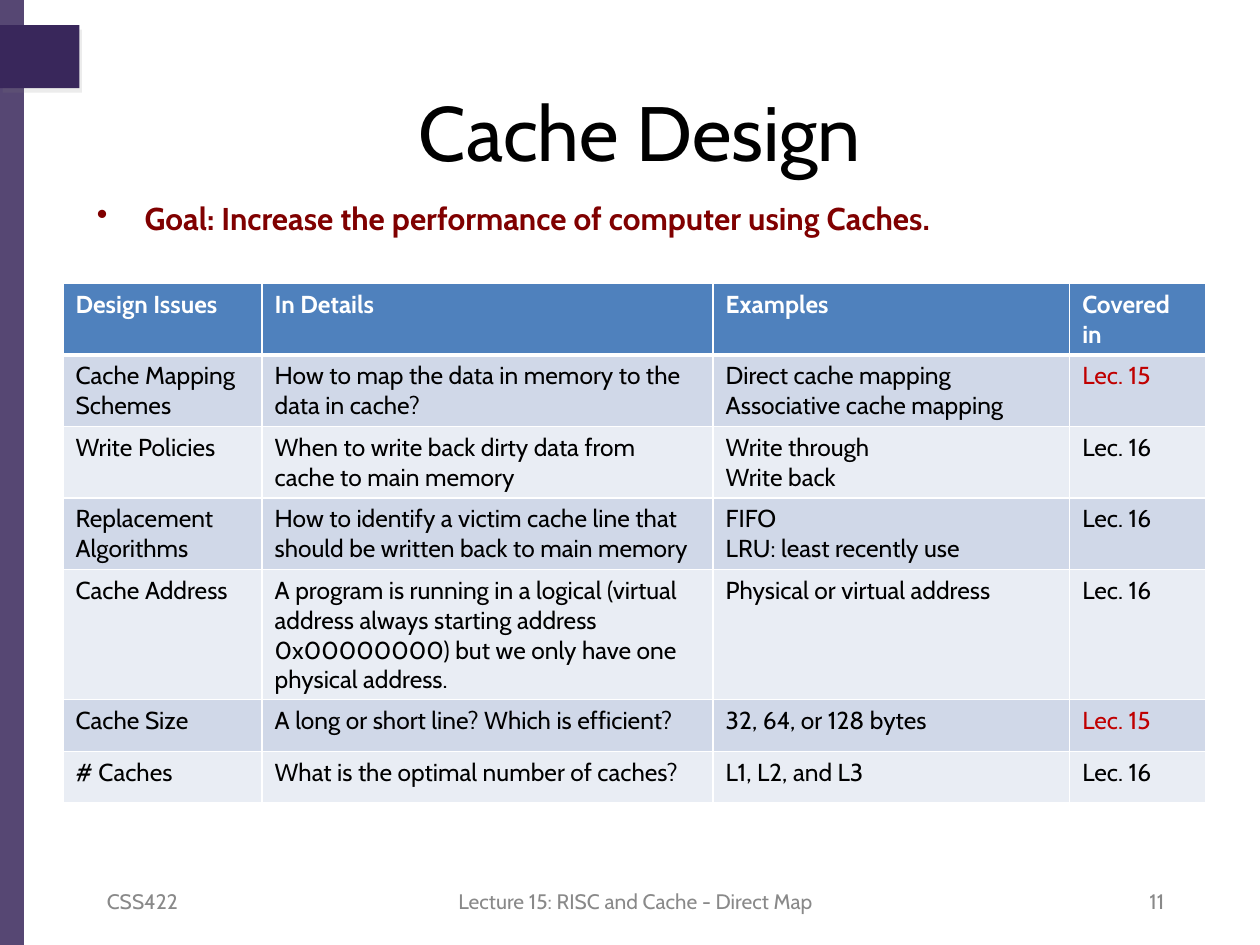
from lxml.etree import SubElement
from pptx import Presentation
from pptx.dml.color import RGBColor
from pptx.enum.shapes import MSO_SHAPE
from pptx.enum.text import MSO_ANCHOR, PP_ALIGN
from pptx.oxml.ns import qn
from pptx.util import Inches, Pt

FONT = "Cabin"
PURPLE, BLUE, WHITE, BLACK = "39275B", "4F81BD", "FFFFFF", "000000"
MAROON, RED, GREY = "800000", "C00000", "898989"
BANDS = ["D0D8E8", "E9EDF4"]

COLS = [1.58, 3.58, 2.83, 1.08]
ROW = 0.41
ROWS = [
    ["Design Issues", "In Details", "Examples", "Covered in"],
    ["Cache Mapping Schemes",
     "How to map the data in memory to the data in cache?",
     "Direct cache mapping\nAssociative cache mapping", "Lec. 15"],
    ["Write Policies",
     "When to write back dirty data from cache to main memory",
     "Write through\nWrite back", "Lec. 16"],
    ["Replacement Algorithms",
     "How to identify a victim cache line that should be written back to main memory",
     "FIFO\nLRU: least recently use", "Lec. 16"],
    ["Cache Address",
     "A program is running in a logical (virtual address always starting address "
     "0x00000000) but we only have one physical address.",
     "Physical or virtual address", "Lec. 16"],
    ["Cache Size", "A long or short line? Which is efficient?",
     "32, 64, or 128 bytes", "Lec. 15"],
    ["# Caches", "What is the optimal number of caches?",
     "L1, L2, and L3", "Lec. 16"],
]


def color(code):
    return RGBColor.from_string(code)


def tint(node, code, alpha=None):
    """Add a colour, with an optional opacity in percent, to an XML node."""
    clr = SubElement(node, qn("a:srgbClr"), val=code)
    if alpha:
        SubElement(clr, qn("a:alpha"), val=str(alpha * 1000))


class Page:
    """Holds the text style and the slide being built."""

    def __init__(self, slide, font):
        self.slide = slide
        self.font = font

    def style(self, frame, size, code, bold=False, align=PP_ALIGN.LEFT):
        for para in frame.paragraphs:
            para.alignment = align
            font = para.font
            font.name, font.size, font.bold = self.font, Pt(size), bold
            font.color.rgb = color(code)

    def bar(self, x, y, w, h, code, alpha=None):
        box = self.slide.shapes.add_shape(
            MSO_SHAPE.RECTANGLE, Inches(x), Inches(y), Inches(w), Inches(h))
        box.shadow.inherit = False
        box.line.fill.background()
        box.fill.solid()
        box.fill.fore_color.rgb = color(code)
        if alpha:
            clr = box.fill._xPr.find(".//" + qn("a:srgbClr"))
            SubElement(clr, qn("a:alpha"), val=str(alpha * 1000))
        return box

    def shade(self, box, code, alpha, dist, angle):
        """Give a shape a hard drop shadow."""
        effects = box._element.spPr.find(qn("a:effectLst"))
        shadow = SubElement(effects, qn("a:outerShdw"), blurRad="0",
                            dist=str(Pt(dist)), dir=str(angle * 60000))
        tint(shadow, code, alpha)

    def text(self, words, x, y, w, h, size, code, bold=False,
             align=PP_ALIGN.LEFT, anchor=MSO_ANCHOR.MIDDLE):
        box = self.slide.shapes.add_textbox(
            Inches(x), Inches(y), Inches(w), Inches(h))
        frame = box.text_frame
        frame.word_wrap = True
        frame.vertical_anchor = anchor
        frame.text = words
        self.style(frame, size, code, bold, align)
        return frame

    def bullet(self, para, indent):
        para.line_spacing = 1.1
        props = para._p.get_or_add_pPr()
        props.set("marL", str(Inches(indent)))
        props.set("indent", str(-Inches(indent)))
        before = SubElement(props, qn("a:spcBef"))
        SubElement(before, qn("a:spcPct"), val="20000")
        mark = SubElement(props, qn("a:buChar"), char="•")
        props.find(qn("a:lnSpc")).addnext(before)
        before.addnext(mark)

    def cell(self, cell, words, fill, code, head):
        cell.text = words
        self.style(cell.text_frame, 14, code, head)
        props = cell._tc.get_or_add_tcPr()
        for side in "LRTB":
            width = 3 if head and side == "B" else 1
            line = SubElement(props, qn("a:ln" + side), w=str(Pt(width)))
            tint(SubElement(line, qn("a:solidFill")), WHITE)
        cell.fill.solid()
        cell.fill.fore_color.rgb = color(fill)

    def table(self, rows, cols, x, y, high):
        grid = self.slide.shapes.add_table(
            len(rows), len(cols), Inches(x), Inches(y),
            Inches(sum(cols)), Inches(high * len(rows))).table
        for col, wide in zip(grid.columns, cols):
            col.width = Inches(wide)
        for r, row in enumerate(rows):
            head = r == 0
            fill = BLUE if head else BANDS[(r - 1) % 2]
            for c, words in enumerate(row):
                code = WHITE if head else RED if words == "Lec. 15" else BLACK
                self.cell(grid.cell(r, c), words, fill, code, head)


def main():
    deck = Presentation()
    deck.slide_width, deck.slide_height = Inches(10), Inches(7.5)
    page = Page(deck.slides.add_slide(deck.slide_layouts[6]), FONT)

    page.bar(0, 0, 0.19, 7.5, PURPLE, alpha=85)
    tab = page.bar(0, 0.2, 0.63, 0.5, PURPLE)
    page.shade(tab, "808080", 15, dist=3, angle=60)

    page.text("Cache Design", 0.58, 0.58, 9, 0.92, 44, BLACK,
              align=PP_ALIGN.CENTER)
    goal = page.text("Goal: Increase the performance of computer using Caches.",
                     0.67, 1.5, 8.83, 0.42, 18, MAROON, bold=True,
                     anchor=MSO_ANCHOR.TOP)
    page.bullet(goal.paragraphs[0], 0.38)

    page.table(ROWS, COLS, 0.5, 2.25, ROW)

    for words, x, w, align in [
        ("CSS422", 0.75, 2.33, PP_ALIGN.LEFT),
        ("Lecture 15: RISC and Cache - Direct Map", 3.46, 3.17, PP_ALIGN.CENTER),
        ("11", 7.01, 2.33, PP_ALIGN.RIGHT),
    ]:
        page.text(words, x, 6.95, w, 0.4, 12, GREY, align=align)

    deck.save("out.pptx")


if __name__ == "__main__":
    main()
